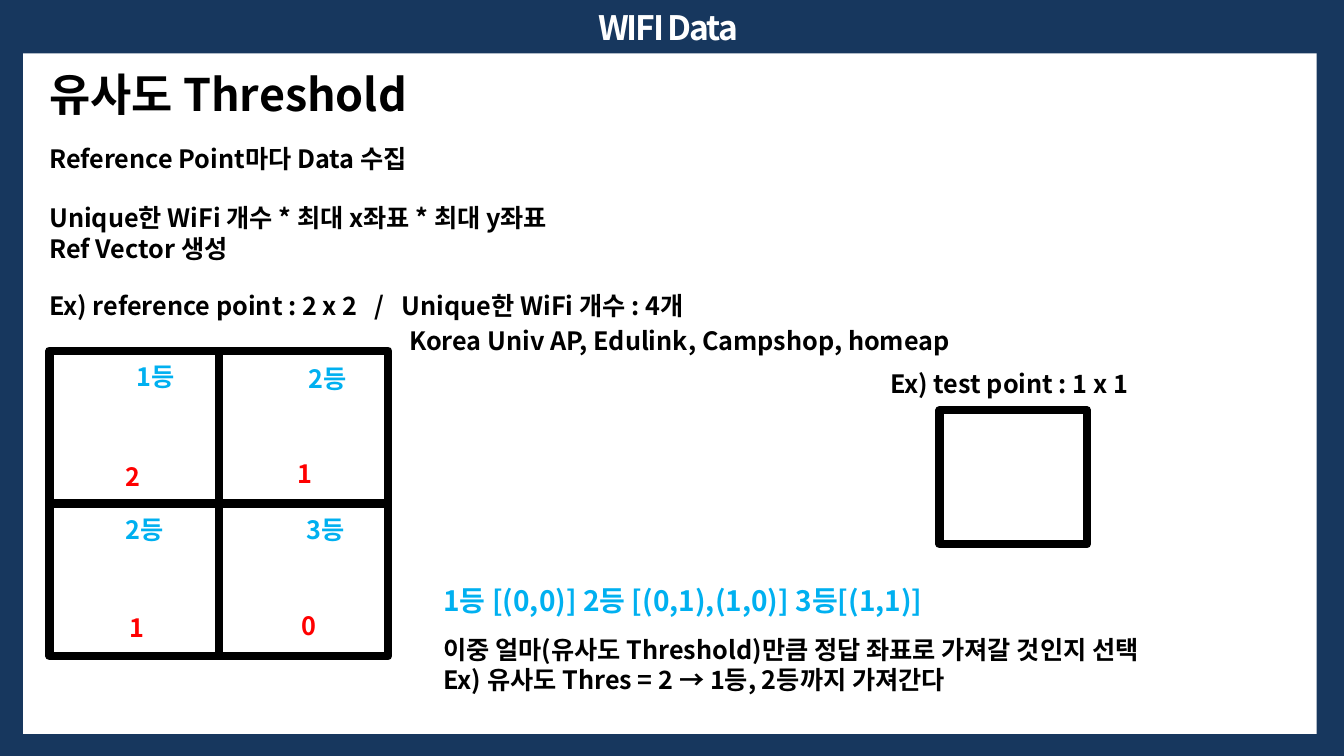
from lxml.etree import SubElement
from pptx import Presentation
from pptx.dml.color import RGBColor
from pptx.enum.shapes import MSO_CONNECTOR, MSO_SHAPE
from pptx.enum.text import MSO_ANCHOR, MSO_AUTO_SIZE, PP_ALIGN
from pptx.oxml.ns import qn
from pptx.util import Inches, Pt

FONT = "Noto Sans CJK KR"
NAVY = RGBColor(0x17, 0x37, 0x5E)
WHITE = RGBColor(0xFF, 0xFF, 0xFF)
BLACK = RGBColor(0x00, 0x00, 0x00)
BLUE = RGBColor(0x00, 0xB0, 0xF0)
RED = RGBColor(0xFF, 0x00, 0x00)
BORDER = Pt(6)

RANKS = [("1등", 1.26, 3.54), ("2등", 2.96, 3.56), ("2등", 1.15, 5.05), ("3등", 2.94, 5.05)]
SCORES = [("2", 0.92, 4.53), ("1", 2.63, 4.5), ("1", 0.96, 6.03), ("0", 2.67, 6.01)]


def add_panel(slide, left, top, width, height):
    """Add the white content panel."""
    shape = slide.shapes.add_shape(
        MSO_SHAPE.RECTANGLE, Inches(left), Inches(top), Inches(width), Inches(height))
    shape.shadow.inherit = False
    shape.fill.solid()
    shape.fill.fore_color.rgb = WHITE
    shape.line.fill.background()


def add_frame(slide, left, top, width, height):
    """Add an unfilled rectangle with a thick black border."""
    shape = slide.shapes.add_shape(
        MSO_SHAPE.RECTANGLE, Inches(left), Inches(top), Inches(width), Inches(height))
    shape.shadow.inherit = False
    shape.fill.background()
    shape.line.color.rgb = BLACK
    shape.line.width = BORDER
    return shape


def add_divider(slide, frame, begin_site, end_site):
    """Join the middles of two opposite sides of a frame."""
    line = slide.shapes.add_connector(MSO_CONNECTOR.STRAIGHT, 0, 0, 0, 0)
    line.begin_connect(frame, begin_site)
    line.end_connect(frame, end_site)
    line.line.color.rgb = BLACK
    line.line.width = BORDER
    SubElement(line._element.spPr, qn("a:effectLst"))


def add_text(slide, lines, left, top, width, height, size=18, color=BLACK,
             align=PP_ALIGN.LEFT, fill=WHITE, spacing=None, gaps=None):
    """Add bold text, one paragraph a line, with optional gaps before lines."""
    shape = slide.shapes.add_textbox(Inches(left), Inches(top), Inches(width), Inches(height))
    if fill is not None:
        shape.fill.solid()
        shape.fill.fore_color.rgb = fill
    frame = shape.text_frame
    frame.word_wrap = True
    frame.auto_size = MSO_AUTO_SIZE.SHAPE_TO_FIT_TEXT
    frame.vertical_anchor = MSO_ANCHOR.TOP
    for index, line in enumerate(lines):
        paragraph = frame.paragraphs[0] if index == 0 else frame.add_paragraph()
        paragraph.alignment = align
        if gaps and index in gaps:
            paragraph.space_before = Pt(gaps[index])
        run = paragraph.add_run()
        run.text = line
        run.font.size = Pt(size)
        run.font.bold = True
        run.font.color.rgb = color
        run.font.name = FONT
        properties = run._r.get_or_add_rPr()
        SubElement(properties, qn("a:ea")).set("typeface", FONT)
        if spacing is not None:
            properties.set("spc", str(int(spacing * 100)))


def add_reference_grid(slide):
    """Add the two by two grid of reference points."""
    grid = add_frame(slide, 0.49, 3.48, 3.36, 3.03)
    for label, left, top in RANKS:
        add_text(slide, [label], left, top, 0.85, 0.4, color=BLUE, fill=None)
    for label, left, top in SCORES:
        add_text(slide, [label], left, top, 0.79, 0.4, color=RED,
                 align=PP_ALIGN.CENTER, fill=None)
    add_divider(slide, grid, 0, 2)
    add_divider(slide, grid, 1, 3)


def main():
    """Build the slide and save it."""
    presentation = Presentation()
    presentation.slide_width = Inches(13.33)
    presentation.slide_height = Inches(7.5)
    slide = presentation.slides.add_slide(presentation.slide_layouts[6])
    slide.background.fill.solid()
    slide.background.fill.fore_color.rgb = NAVY

    add_panel(slide, 0.23, 0.53, 12.83, 6.75)
    add_text(slide, ["WIFI Data"], 4.3, 0.02, 4.65, 0.5, size=24, color=WHITE,
             align=PP_ALIGN.CENTER, fill=None, spacing=-1.5)
    add_text(slide, ["유사도 Threshold"], 0.39, 0.61, 8.41, 0.64, size=32)
    add_text(slide, ["Reference Point마다 Data 수집",
                     "Unique한 WiFi 개수 * 최대 x좌표 * 최대 y좌표",
                     "Ref Vector 생성"], 0.39, 1.37, 7.46, 1.31, gaps={1: 21})
    add_text(slide, ["Ex) reference point : 2 x 2   /   Unique한 WiFi 개수 : 4개"],
             0.39, 2.83, 7.46, 0.71)
    add_text(slide, ["Korea Univ AP, Edulink, Campshop, homeap"], 3.96, 3.18, 6.19, 0.4)
    add_reference_grid(slide)
    add_text(slide, ["Ex) test point : 1 x 1"], 8.73, 3.6, 2.83, 0.4)
    add_frame(slide, 9.32, 4.07, 1.46, 1.33)
    add_text(slide, ["1등 [(0,0)] 2등 [(0,1),(1,0)] 3등[(1,1)]"],
             4.3, 5.74, 7.37, 0.44, size=20, color=BLUE)
    add_text(slide, ["이중 얼마(유사도 Threshold)만큼 정답 좌표로 가져갈 것인지 선택",
                     "Ex) 유사도 Thres = 2 → 1등, 2등까지 가져간다"], 4.3, 6.24, 8.05, 0.71)
    presentation.save("out.pptx")


if __name__ == "__main__":
    main()
